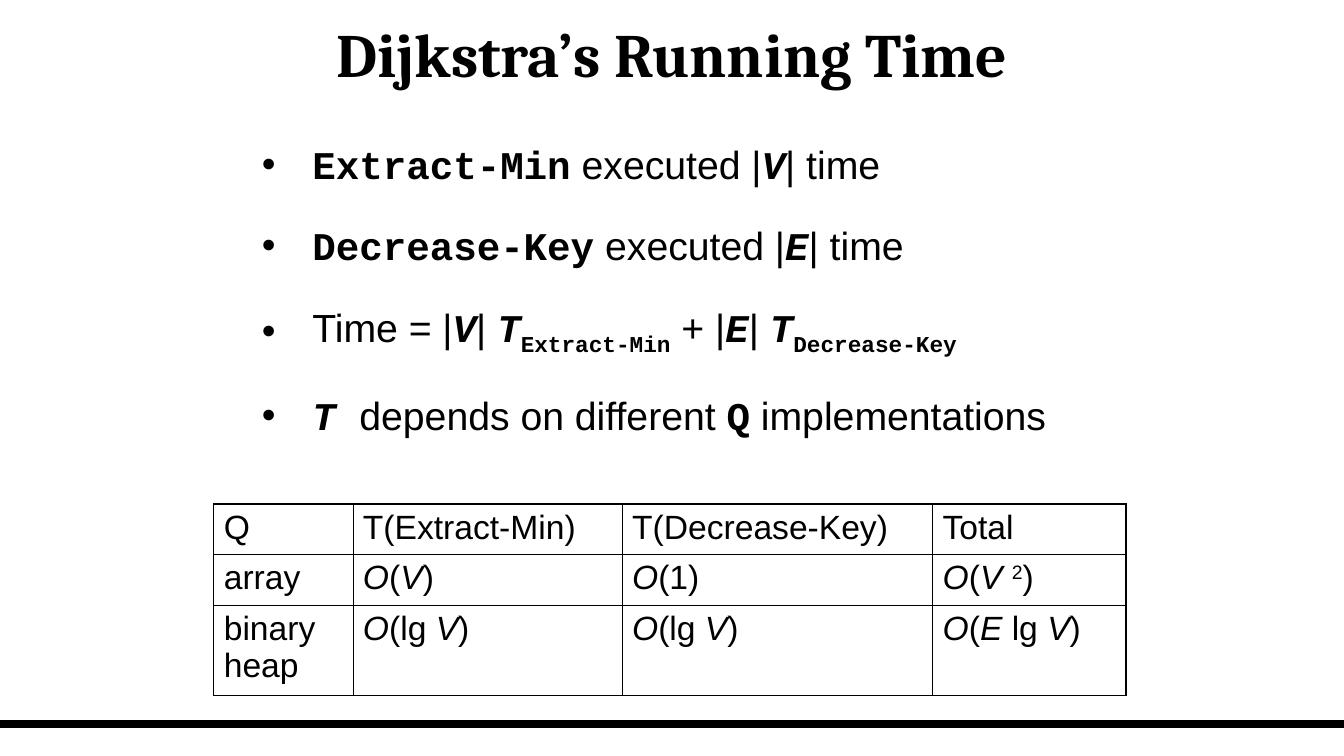
from lxml import etree
from pptx import Presentation
from pptx.dml.color import RGBColor
from pptx.enum.shapes import MSO_CONNECTOR
from pptx.enum.text import MSO_ANCHOR, PP_ALIGN
from pptx.oxml.ns import qn
from pptx.util import Inches, Pt

STRAIGHT = MSO_CONNECTOR.STRAIGHT
MIDDLE, TOP = MSO_ANCHOR.MIDDLE, MSO_ANCHOR.TOP
CENTER, LEFT = PP_ALIGN.CENTER, PP_ALIGN.LEFT

WIDTH, HEIGHT = 13.33, 7.5
BLACK = "000000"
THICK, THIN = 1.08, 0.45

# style: font, bold, italic, baseline shift
STYLES = {
    "title": ("Cambria", True, False, 0),
    "plain": ("Arial", False, False, 0),
    "italic": ("Arial", False, True, 0),
    "super": ("Arial", False, False, 30000),
    "code": ("Courier New", True, False, 0),
    "var": ("Courier New", True, True, 0),
    "sub": ("Courier New", True, False, -25000),
}

BULLETS = [
    [("Extract-Min", "code"), (" executed |", "plain"), ("V", "var"), ("| time", "plain")],
    [("Decrease-Key", "code"), (" executed |", "plain"), ("E", "var"), ("| time", "plain")],
    [("Time = |", "plain"), ("V", "var"), ("| ", "plain"), ("T", "var"),
     ("Extract-Min", "sub"), (" + |", "plain"), ("E", "var"), ("| ", "plain"),
     ("T", "var"), ("Decrease-Key", "sub")],
    [("T ", "var"), ("depends on different ", "plain"), ("Q", "code"),
     (" implementations", "plain")],
]

O = ("Ο", "italic")
V = ("V", "italic")
OPEN, CLOSE = ("(", "plain"), (")", "plain")
LOG_V = [O, ("(lg ", "plain"), V, CLOSE]
COSTS = [
    [[(heading, "plain")] for heading in ("Q", "T(Extract-Min)", "T(Decrease-Key)", "Total")],
    [[("array", "plain")], [O, OPEN, V, CLOSE], [O, ("(1)", "plain")],
     [O, OPEN, ("V ", "italic"), ("2", "super"), CLOSE]],
    [[("binary heap", "plain")], LOG_V, LOG_V,
     [O, OPEN, ("E", "italic"), (" lg ", "plain"), V, CLOSE]],
]
COLUMN_WIDTHS = (1.38, 2.67, 3.08, 1.92)
ROW_HEIGHTS = (0.5, 0.5, 0.9)


def color(code):
    return RGBColor.from_string(code)


def add_spans(para, spans, size):
    for text, style in spans:
        name, bold, italic, baseline = STYLES[style]
        span = para.add_run()
        span.text = text
        font = span.font
        font.name, font.size = name, Pt(size)
        font.bold, font.italic = bold, italic
        font.color.rgb = color(BLACK)
        if baseline:
            span._r.get_or_add_rPr().set("baseline", str(baseline))


def add_text_box(page, box, anchor):
    frame = page.shapes.add_textbox(*map(Inches, box)).text_frame
    frame.word_wrap = True
    frame.vertical_anchor = anchor
    return frame


def add_title(page, box):
    para = add_text_box(page, box, MIDDLE).paragraphs[0]
    para.alignment = CENTER
    add_spans(para, [("Dijkstra’s Running Time", "title")], 44)


def add_bullet_mark(para, indent):
    properties = para._p.get_or_add_pPr()
    properties.set("marL", str(Inches(indent)))
    properties.set("indent", str(-Inches(indent)))
    mark_color = etree.SubElement(properties, qn("a:buClr"))
    etree.SubElement(mark_color, qn("a:srgbClr"), val=BLACK)
    etree.SubElement(properties, qn("a:buFont"), typeface="Arial")
    etree.SubElement(properties, qn("a:buChar"), char="•")


def add_bullets(page, box):
    frame = add_text_box(page, box, TOP)
    for index, spans in enumerate(BULLETS):
        para = frame.add_paragraph() if index else frame.paragraphs[0]
        para.alignment = LEFT
        para.line_spacing = 1.2
        para.space_before = para.space_after = Pt(8.8)
        add_bullet_mark(para, 0.5)
        add_spans(para, spans, 28)


def set_borders(cell, widths):
    properties = cell._tc.get_or_add_tcPr()
    for side, width in zip("LRTB", widths):
        line = etree.SubElement(properties, qn(f"a:ln{side}"), w=str(Pt(width)))
        fill = etree.SubElement(line, qn("a:solidFill"))
        etree.SubElement(fill, qn("a:srgbClr"), val=BLACK)


def add_cost_table(page, box):
    last_row, last_column = len(COSTS) - 1, len(COLUMN_WIDTHS) - 1
    table = page.shapes.add_table(last_row + 1, last_column + 1, *map(Inches, box)).table
    table.first_row = table.horz_banding = False
    for column, width in zip(table.columns, COLUMN_WIDTHS):
        column.width = Inches(width)
    for row, height in zip(table.rows, ROW_HEIGHTS):
        row.height = Inches(height)
    for r, costs in enumerate(COSTS):
        for c, spans in enumerate(costs):
            cell = table.cell(r, c)
            outer = (c == 0, c == last_column, r == 0, r == last_row)
            set_borders(cell, [THICK if edge else THIN for edge in outer])
            cell.fill.background()
            para = cell.text_frame.paragraphs[0]
            para.space_before = para.space_after = Pt(7.5)
            add_spans(para, spans, 24)


def add_footer_rule(page, top):
    rule = page.shapes.add_connector(STRAIGHT, 0, Inches(top), Inches(WIDTH), Inches(top))
    rule.line.color.rgb = color(BLACK)
    rule.line.width = Pt(6)
    etree.SubElement(rule._element.spPr, qn("a:effectLst"))


def main():
    deck = Presentation()
    deck.slide_width, deck.slide_height = Inches(WIDTH), Inches(HEIGHT)
    page = deck.slides.add_slide(deck.slide_layouts[6])
    page.background.fill.solid()
    page.background.fill.fore_color.rgb = color("FFFFFF")
    add_footer_rule(page, 7.18)
    add_title(page, (0.07, 0.07, WIDTH - 0.14, 0.9))
    add_bullets(page, (2.5, 1.25, 8.5, 3.25))
    add_cost_table(page, (2.12, 5, sum(COLUMN_WIDTHS), sum(ROW_HEIGHTS)))
    deck.save("out.pptx")


if __name__ == "__main__":
    main()
